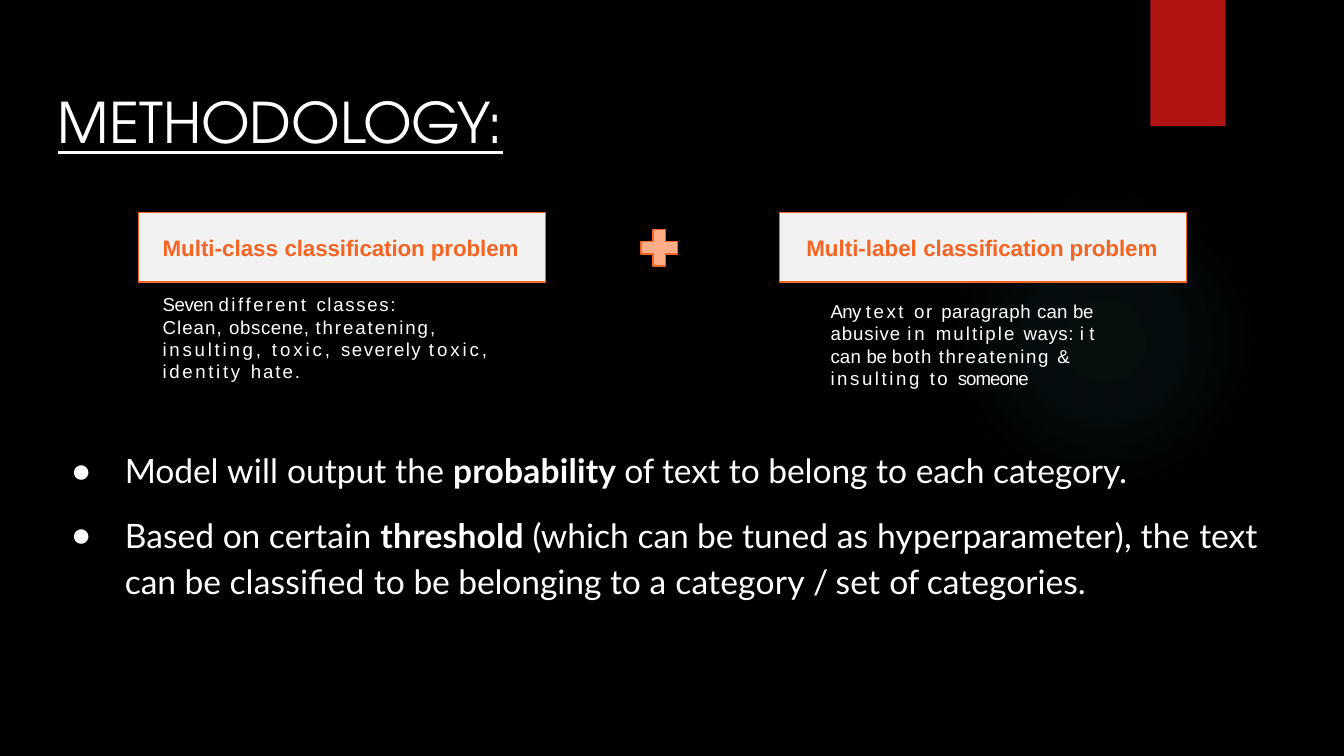
from lxml import etree
from pptx import Presentation
from pptx.dml.color import RGBColor
from pptx.enum.shapes import MSO_SHAPE
from pptx.enum.text import MSO_ANCHOR, PP_ALIGN
from pptx.oxml import parse_xml
from pptx.util import Inches, Pt

RECTANGLE = MSO_SHAPE.RECTANGLE
OVAL = MSO_SHAPE.OVAL
TOP = MSO_ANCHOR.TOP
LEFT = PP_ALIGN.LEFT
DRAWING = "http://schemas.openxmlformats.org/drawingml/2006/main"
WHITE = "FFFFFF"
ORANGE = "F46423"

SEVEN_CLASSES = [
    [("Seven ", -0.2), ("different ", 1.4), ("classes:", 0.9), ("\n", 0),
     ("Clean, ", 0.6), ("obscene, ", 0.35), ("threatening,", 1.05)],
    [("insulting, ", 1.5), ("toxic, ", 1.6), ("severely ", 0.8),
     ("toxic, ", 1.6), ("identity ", 1.45), ("hate.", 1.05)],
]
MULTIPLE_WAYS = [
    [("Any ", -0.3), ("text ", 1.4), ("or ", 1), ("paragraph ", 0.3),
     ("can ", 0.1), ("be ", -0.1), ("abusive ", 0.5), ("in ", 1.6),
     ("multiple ", 1.1), ("ways: ", 0.3), ("it ", 2.9), ("can ", 0.1),
     ("be ", -0.1), ("both ", 0.6), ("threatening ", 0.9), ("& ", -1.2),
     ("insulting ", 1.4), ("to ", 1.3), ("someone", -0.5)],
]
MODEL_OUTPUT = [
    ("Model ", -0.05), ("will ", 0.1), ("output ", 0), ("the ", 0.1),
    ("probability ", 0.1, True), ("of ", -0.2), ("text to ", 0),
    ("belong ", -0.05), ("to ", 0), ("each category.", -0.05),
]
THRESHOLD = [
    ("Based ", 0), ("on ", -0.05), ("certain ", 0.1),
    ("threshold ", 0.1, True), ("(which ", 0), ("can be ", -0.05),
    ("tuned ", 0), ("as hyperparameter), the ", 0.1), ("text ", 0),
    ("can be ", -0.05), ("classiﬁed ", 0.1), ("to ", 0),
    ("be belonging ", -0.05), ("to ", 0), ("a category ", 0.1), ("/ ", -0.7),
    ("set ", 0.1), ("of ", -0.2), ("categories.", 0),
]


def color(value):
    """Turn a hex string into a colour."""
    return RGBColor.from_string(value)


def paint(shape, fill, line=None):
    """Give a shape its fill and outline, without a shadow."""
    shape.shadow.inherit = False
    shape.fill.solid()
    shape.fill.fore_color.rgb = color(fill)
    if line:
        shape.line.color.rgb = color(line)
        shape.line.width = Pt(0.75)
    else:
        shape.line.fill.background()


def add_box(page, kind, left, top, width, height):
    """Add a preset shape placed in inches."""
    return page.shapes.add_shape(
        kind, Inches(left), Inches(top), Inches(width), Inches(height))


def add_glow(page):
    """Add the faint round glow on the right."""
    glow = add_box(page, OVAL, 7.06, 1.38, 2.31, 2.31)
    paint(glow, "50B9C1")
    stops = "".join(
        f'<a:gs pos="{place}000"><a:srgbClr val="50B9C1">'
        f'<a:alpha val="{alpha}000"/></a:srgbClr></a:gs>'
        for place, alpha in [(0, 7), (36, 6), (69, 0), (100, 0)])
    gradient = parse_xml(
        f'<a:gradFill xmlns:a="{DRAWING}"><a:gsLst>{stops}</a:gsLst>'
        '<a:path path="circle"><a:fillToRect l="50000" t="50000" '
        'r="50000" b="50000"/></a:path></a:gradFill>')
    properties = glow.element.spPr
    properties.replace(properties.find(f"{{{DRAWING}}}solidFill"), gradient)


def prepare_frame(box, top_inset=0.01):
    """Set wrapping, anchor and insets of a text frame."""
    frame = box.text_frame
    frame.word_wrap = True
    frame.vertical_anchor = TOP
    frame.margin_left = frame.margin_right = frame.margin_bottom = 0
    frame.margin_top = Inches(top_inset)
    return frame


def add_span(para, text, font, size, ink, spacing=0, bold=False):
    """Add one run with its font and letter spacing in points."""
    span = para.add_run()
    span.text = text
    span.font.name = font
    span.font.size = Pt(size)
    span.font.bold = bold
    span.font.color.rgb = color(ink)
    span._r.get_or_add_rPr().set("spc", str(round(spacing * 100)))
    return span


def indent(para, margin, first=0):
    """Set the left margin and first-line indent of a paragraph."""
    properties = para._p.get_or_add_pPr()
    properties.set("marL", str(Inches(margin)))
    properties.set("indent", str(Inches(first)))
    return properties


def add_bullet(properties, symbol):
    """Give a paragraph its bullet symbol and the font of the symbol."""
    for tag, name, value in [("buFont", "typeface", "Arial"),
                             ("buChar", "char", symbol)]:
        etree.SubElement(properties, f"{{{DRAWING}}}{tag}").set(name, value)


def add_text(page, left, top, width, height, paragraphs, font, size,
             bullet=None):
    """Add a text box of spaced runs, with optional bullets."""
    box = page.shapes.add_textbox(
        Inches(left), Inches(top), Inches(width), Inches(height))
    frame = prepare_frame(box)
    for index, spans in enumerate(paragraphs):
        para = frame.add_paragraph() if index else frame.paragraphs[0]
        if bullet:
            para.space_before = Pt(9.8 if index else 1)
            para.line_spacing = 1.15 if index else 1.0
            add_bullet(indent(para, 0.41, -0.4), bullet)
        else:
            para.space_before = Pt(0 if index else 1)
            indent(para, 0.01)
        for text, *style in spans:
            if text == "\n":
                para.add_line_break()
            else:
                add_span(para, text, font, size, WHITE, *style)
    return box


def add_problem(page, left, name, margin):
    """Add a framed heading for one kind of problem."""
    box = add_box(page, RECTANGLE, left, 1.58, 3.03, 0.52)
    paint(box, "F2F2F2", ORANGE)
    para = prepare_frame(box, 0.16).paragraphs[0]
    para.alignment = LEFT
    para.space_before = Pt(11.2)
    indent(para, margin)
    add_span(para, name, "Arial", 12, ORANGE, 0, True)
    add_span(para, "classification problem", "Arial", 12, ORANGE, -0.05, True)


def add_plus(page, left, top, arm):
    """Add a plus sign built from square arms."""
    steps = [(0, 1), (1, 1), (1, 0), (2, 0), (2, 1), (3, 1),
             (3, 2), (2, 2), (2, 3), (1, 3), (1, 2), (0, 2)]
    points = [(Inches(left + arm * column), Inches(top + arm * row))
              for column, row in steps]
    builder = page.shapes.build_freeform(*points[0])
    builder.add_line_segments(points[1:], close=True)
    paint(builder.convert_to_shape(), "FFAE87", ORANGE)


def main():
    """Build and save the methodology slide."""
    deck = Presentation()
    deck.slide_width = Inches(10)
    deck.slide_height = Inches(10 * 9 / 16)
    page = deck.slides.add_slide(deck.slide_layouts[6])
    page.background.fill.solid()
    page.background.fill.fore_color.rgb = color("000000")

    add_glow(page)
    paint(add_box(page, RECTANGLE, 8.56, 0, 0.56, 0.94), "B01513")
    title = add_text(page, 0.42, 0.64, 4.12, 0.53, [[("METHODOLOGY:", 0)]],
                     "TeX Gyre Adventor", 30)
    title.text_frame.paragraphs[0].runs[0].font.underline = True
    add_text(page, 0.52, 3.34, 9.03, 1.15, [MODEL_OUTPUT, THRESHOLD],
             "Lato", 18, "●")
    add_problem(page, 1.03, "Multi-class ", 0.18)
    add_problem(page, 5.8, "Multi-label ", 0.2)
    add_plus(page, 4.77, 1.71, 0.09)
    add_text(page, 1.2, 2.17, 2.54, 0.69, SEVEN_CLASSES, "Arial", 10)
    add_text(page, 6.17, 2.22, 2.16, 0.69, MULTIPLE_WAYS, "Arial", 10)
    deck.save("out.pptx")


if __name__ == "__main__":
    main()
